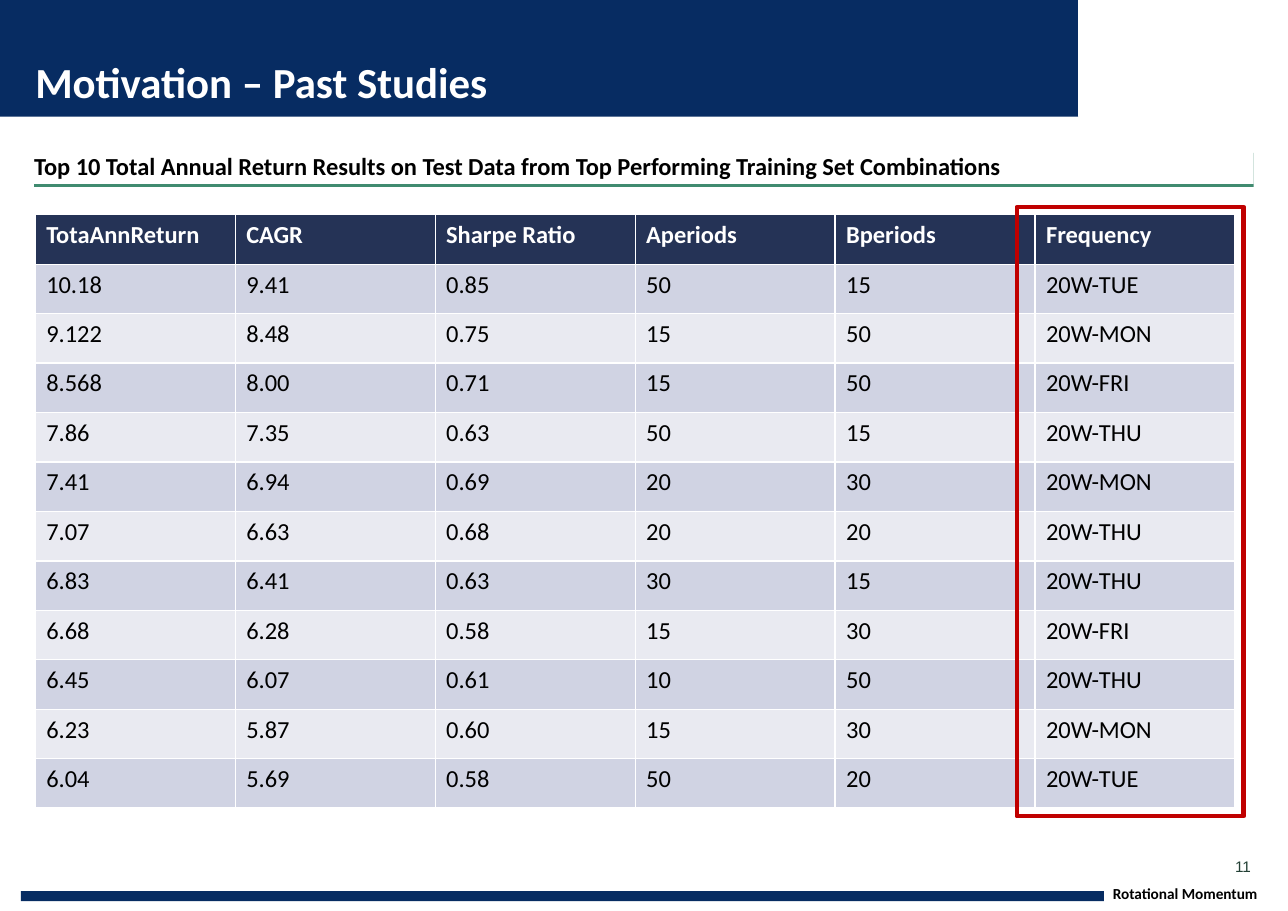
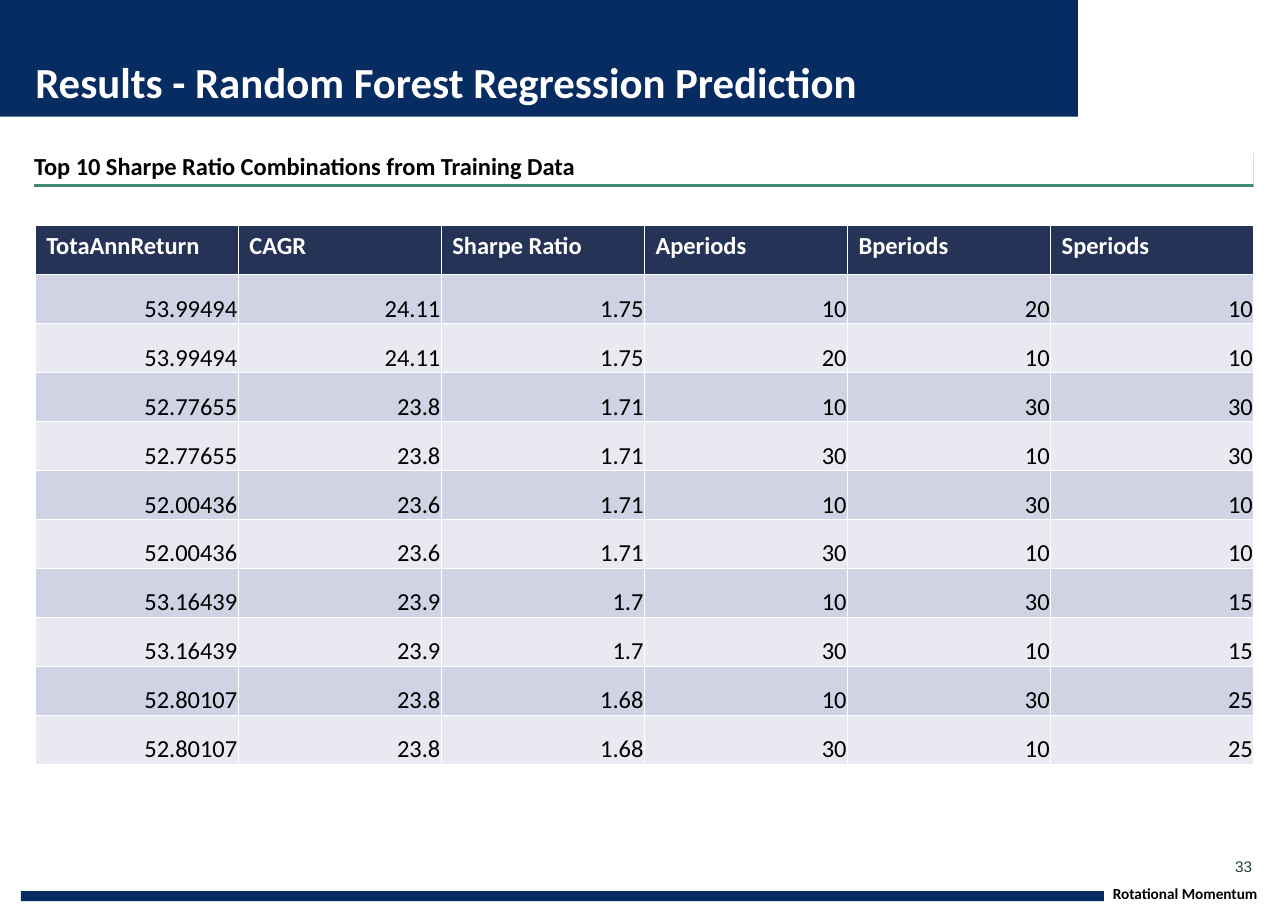
from lxml.etree import SubElement
from pptx import Presentation
from pptx.dml.color import RGBColor
from pptx.enum.shapes import MSO_SHAPE
from pptx.enum.text import MSO_ANCHOR, PP_ALIGN
from pptx.oxml.ns import qn
from pptx.util import Pt

PX = 9144  # 100 px to the inch
COLORS = {
    "navy": "072C62", "white": "FFFFFF", "black": "000000", "green": "408B70",
    "number": "234035", "header": "253356", "odd": "D0D3E3", "even": "E9EAF1",
    "red": "C00000",
}
SLIDES = [
    {
        "title": "Motivation – Past Studies",
        "number": "11",
        "heading": "Top 10 Total Annual Return Results on Test Data "
                   "from Top Performing Training Set Combinations",
        "table_box": (32, 195, 1089, 539),
        "numeric": False,
        "highlight": (923, 188, 206, 553),
        "rows": [
            ["TotaAnnReturn", "CAGR", "Sharpe Ratio", "Aperiods", "Bperiods", "Frequency"],
            ["10.18", "9.41", "0.85", "50", "15", "20W-TUE"],
            ["9.122", "8.48", "0.75", "15", "50", "20W-MON"],
            ["8.568", "8.00", "0.71", "15", "50", "20W-FRI"],
            ["7.86", "7.35", "0.63", "50", "15", "20W-THU"],
            ["7.41", "6.94", "0.69", "20", "30", "20W-MON"],
            ["7.07", "6.63", "0.68", "20", "20", "20W-THU"],
            ["6.83", "6.41", "0.63", "30", "15", "20W-THU"],
            ["6.68", "6.28", "0.58", "15", "30", "20W-FRI"],
            ["6.45", "6.07", "0.61", "10", "50", "20W-THU"],
            ["6.23", "5.87", "0.60", "15", "30", "20W-MON"],
            ["6.04", "5.69", "0.58", "50", "20", "20W-TUE"],
        ],
    },
    {
        "title": "Results - Random Forest Regression Prediction",
        "number": "33",
        "heading": "Top 10 Sharpe Ratio Combinations from Training Data",
        "table_box": (32, 205, 1106, 489),
        "numeric": True,
        "highlight": None,
        "rows": [
            ["TotaAnnReturn", "CAGR", "Sharpe Ratio", "Aperiods", "Bperiods", "Speriods"],
            ["53.99494", "24.11", "1.75", "10", "20", "10"],
            ["53.99494", "24.11", "1.75", "20", "10", "10"],
            ["52.77655", "23.8", "1.71", "10", "30", "30"],
            ["52.77655", "23.8", "1.71", "30", "10", "30"],
            ["52.00436", "23.6", "1.71", "10", "30", "10"],
            ["52.00436", "23.6", "1.71", "30", "10", "10"],
            ["53.16439", "23.9", "1.7", "10", "30", "15"],
            ["53.16439", "23.9", "1.7", "30", "10", "15"],
            ["52.80107", "23.8", "1.68", "10", "30", "25"],
            ["52.80107", "23.8", "1.68", "30", "10", "25"],
        ],
    },
]


def add_rect(s, box, fill=None, line=None, width=0):
    sp = s.shapes.add_shape(MSO_SHAPE.RECTANGLE, *[v * PX for v in box])
    sp.shadow.inherit = False
    if fill:
        sp.fill.solid()
        sp.fill.fore_color.rgb = RGBColor.from_string(COLORS[fill])
    else:
        sp.fill.background()
    if line:
        sp.line.color.rgb = RGBColor.from_string(COLORS[line])
        sp.line.width = Pt(width)
    else:
        sp.line.fill.background()
    return sp


def write(tf, text, size, color, bold=False, font="Calibri", align=PP_ALIGN.LEFT):
    """Put one run in the first paragraph of a text frame and return the paragraph."""
    p = tf.paragraphs[0]
    p.alignment = align
    r = p.add_run()
    r.text = text
    r.font.name = font
    r.font.size = Pt(size)
    r.font.bold = bold
    r.font.color.rgb = RGBColor.from_string(COLORS[color])
    return p


prs = Presentation()
prs.slide_width, prs.slide_height = 1169 * PX, 827 * PX

for content in SLIDES:
    s = prs.slides.add_slide(prs.slide_layouts[6])

    # Bands
    add_rect(s, (0, 0, 1169, 106), "navy")
    add_rect(s, (980, 0, 189, 106), "white", "white", 2)
    add_rect(s, (19, 809, 983, 9), "navy")

    # Footer, title and page number
    for box, text, size, color, bold, font, anchor, wrap in [
        ((1010, 802, 159, 17), "Rotational Momentum", 10, "black", True, "Calibri",
         MSO_ANCHOR.BOTTOM, True),
        ((32, 50, 949, 47), content["title"], 28, "white", True, "Calibri",
         MSO_ANCHOR.BOTTOM, True),
        ((1121, 778, 17, 17), content["number"], 10, "number", False, "Arial",
         MSO_ANCHOR.MIDDLE, False),
    ]:
        tf = s.shapes.add_textbox(*[v * PX for v in box]).text_frame
        tf.margin_left = tf.margin_top = tf.margin_right = tf.margin_bottom = 0
        tf.vertical_anchor = anchor
        tf.word_wrap = wrap
        write(tf, text, size, color, bold, font)

    # Heading, underlined by a hard green shadow
    sp = add_rect(s, (31, 136, 1107, 31), "white")
    effects = sp._element.spPr.find(qn("a:effectLst"))
    shadow = SubElement(effects, qn("a:outerShdw"), blurRad="0", dist=str(Pt(2)),
                        dir="5400000", algn="ctr", rotWithShape="0")
    SubElement(shadow, qn("a:srgbClr"), val=COLORS["green"])
    tf = sp.text_frame
    tf.margin_left = tf.margin_top = tf.margin_right = 0
    tf.margin_bottom = 3 * PX
    tf.vertical_anchor = MSO_ANCHOR.BOTTOM
    tf.word_wrap = True
    p = write(tf, content["heading"], 16, "black", True)
    p.line_spacing = 1.1

    # Table: the default style supplies the white rules
    rows = content["rows"]
    table = s.shapes.add_table(len(rows), len(rows[0]),
                               *[v * PX for v in content["table_box"]]).table
    for i, row in enumerate(rows):
        is_header = i == 0
        fill = "header" if is_header else "odd" if i % 2 else "even"
        for j, text in enumerate(row):
            cell = table.cell(i, j)
            cell.fill.solid()
            cell.fill.fore_color.rgb = RGBColor.from_string(COLORS[fill])
            align = PP_ALIGN.LEFT
            if content["numeric"] and not is_header:
                align = PP_ALIGN.RIGHT
                cell.vertical_anchor = MSO_ANCHOR.BOTTOM
                cell.margin_left = cell.margin_top = cell.margin_right = PX
                cell.margin_bottom = 0
            write(cell.text_frame, text, 16, "white" if is_header else "black",
                  is_header, align=align)

    if content["highlight"]:
        add_rect(s, content["highlight"], line="red", width=3)

prs.save("out.pptx")
